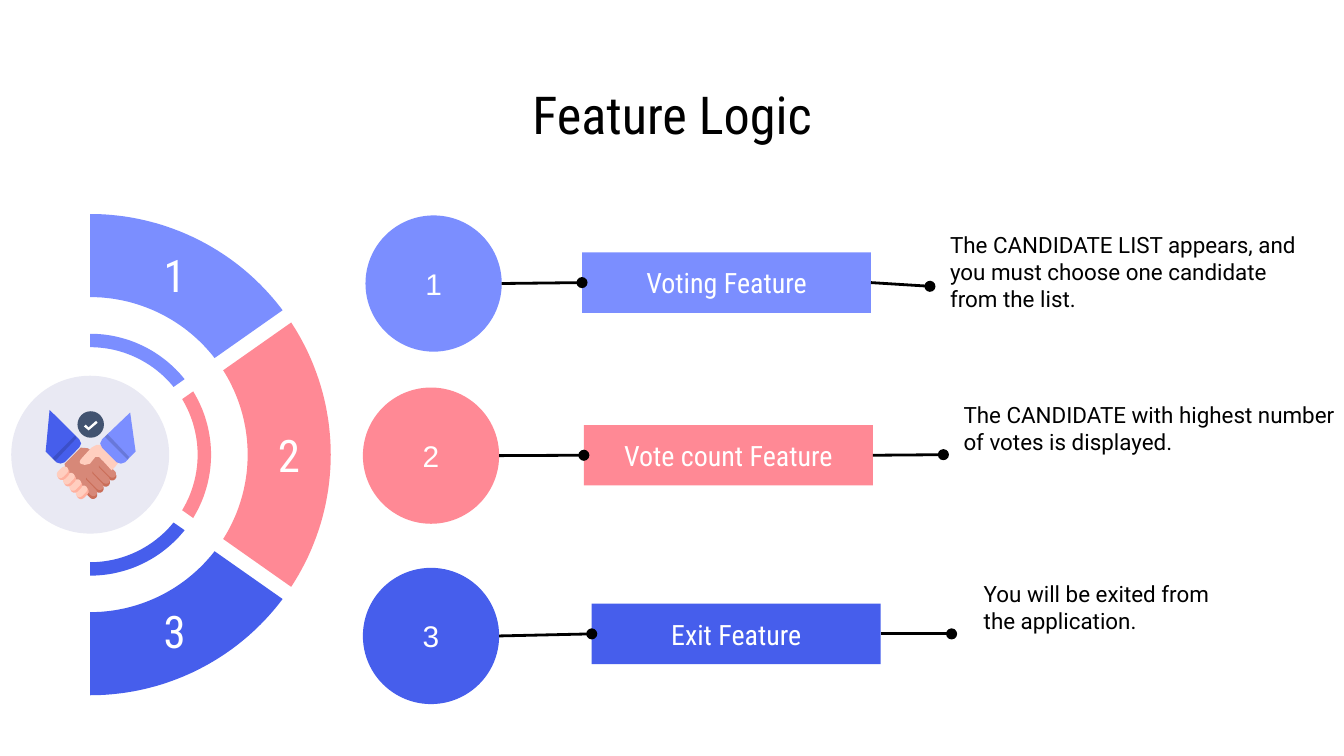
from math import asin, cos, pi, radians, sin

from lxml.etree import SubElement
from pptx import Presentation
from pptx.dml.color import RGBColor
from pptx.enum.shapes import MSO_CONNECTOR, MSO_SHAPE as SHAPE
from pptx.enum.text import MSO_ANCHOR as ANCHOR, PP_ALIGN as ALIGN
from pptx.oxml.ns import qn
from pptx.util import Pt

BLACK = RGBColor(0x00, 0x00, 0x00)
WHITE = RGBColor(0xFF, 0xFF, 0xFF)
PERIWINKLE = RGBColor(0x7B, 0x8E, 0xFF)
CORAL = RGBColor(0xFF, 0x89, 0x95)
BLUE = RGBColor(0x46, 0x5E, 0xEC)
PALE = RGBColor(0xE9, 0xE9, 0xF3)
SLATE = RGBColor(0x42, 0x53, 0x70)
BROWN = RGBColor(0xD7, 0x88, 0x78)
BROWN_SHADE = RGBColor(0xCA, 0x6E, 0x59)
PEACH = RGBColor(0xFF, 0xCE, 0xBF)
PEACH_SHADE = RGBColor(0xFF, 0xB0, 0x9E)
CONDENSED = "Roboto Condensed"

prs = Presentation()
prs.slide_width, prs.slide_height = Pt(720), Pt(405)
s = prs.slides.add_slide(prs.slide_layouts[6])


def add_box(x, y, w, h, kind=None, fill=None, text="", size=12, font=CONDENSED,
            color=WHITE, align=ALIGN.CENTER, anchor=ANCHOR.TOP,
            insets=(7.2, 7.2, 7.2, 7.2)):
    """Add a filled preset shape, or a text box when no kind is given."""
    frame = Pt(x), Pt(y), Pt(w), Pt(h)
    if kind is None:
        sp = s.shapes.add_textbox(*frame)
    else:
        sp = s.shapes.add_shape(kind, *frame)
        sp.shadow.inherit = False
        sp.fill.solid()
        sp.fill.fore_color.rgb = fill
        sp.line.fill.background()
    if text:
        tf = sp.text_frame
        tf.word_wrap = True
        tf.vertical_anchor = anchor
        (tf.margin_left, tf.margin_top,
         tf.margin_right, tf.margin_bottom) = map(Pt, insets)
        p = tf.paragraphs[0]
        p.text, p.alignment = text, align
        p.font.size, p.font.name, p.font.color.rgb = Pt(size), font, color
    return sp


def add_outline(points, fill):
    """Add a closed polygon through points."""
    emu = [(Pt(x), Pt(y)) for x, y in points]
    fb = s.shapes.build_freeform(*emu[0], scale=1.0)
    fb.add_line_segments(emu[1:], close=True)
    sp = fb.convert_to_shape()
    sp.shadow.inherit = False
    sp.fill.solid()
    sp.fill.fore_color.rgb = fill
    sp.line.fill.background()
    return sp


# Half rings: three sectors each, parted by parallel gaps
CX, CY, HALF_GAP, STEPS = 48.3, 243.6, 4, 40
SPLIT = radians(35.1)
sectors = [(-pi / 2, -SPLIT, 0, -1, PERIWINKLE),
           (-SPLIT, SPLIT, 1, -1, CORAL),
           (SPLIT, pi / 2, 1, 0, BLUE)]
for inner, outer in [(57.6, 64.8), (84.4, 128.9)]:
    for start, end, start_gap, end_gap, color in sectors:
        points = []
        for radius, direction in [(outer, 1), (inner, -1)]:
            shift = asin(HALF_GAP / radius)
            a, b = start + start_gap * shift, end + end_gap * shift
            arc = [a + (b - a) * i / STEPS for i in range(STEPS + 1)]
            points += [(CX + radius * cos(t), CY + radius * sin(t))
                       for t in arc[::direction]]
        add_outline(points, color)
add_box(CX - 42.3, CY - 42.3, 84.6, 84.6, SHAPE.OVAL, PALE)

# Ring numbers
for number, x, y in [("1", 77.8, 125.3), ("2", 139, 221.8), ("3", 77.8, 316.1)]:
    add_box(x, y, 31.7, 43.9, text=number, size=24)

# Title
add_box(36, 41.8, 648, 38.2, text="Feature Logic", size=28, color=BLACK,
        anchor=ANCHOR.MIDDLE)

# Feature rows: circle, box, description, end dot
CIRCLE, BOX_W, BOX_H = 73, 154.8, 32.4
rows = [
    ("1", "Voting Feature", PERIWINKLE, (195.8, 115.4), (311.8, 135.2),
     (498.2, 122.4, 213), (498.2, 153.4),
     "The CANDIDATE LIST appears, and you must choose one candidate from the list."),
    ("2", "Vote count Feature", CORAL, (194.4, 207.6), (312.8, 227.7),
     (505.4, 213.8, 222), (505.4, 243.6),
     "The CANDIDATE with highest number of votes is displayed."),
    ("3", "Exit Feature", BLUE, (194.4, 304.2), (317, 323.4),
     (516.2, 309.6, 150.5), (509.8, 339.6),
     "You will be exited from the application."),
]
for number, name, color, circle, box, (tx, ty, tw), dot, description in rows:
    add_box(*circle, CIRCLE, CIRCLE, SHAPE.OVAL, color, number, 16, "Arial",
            anchor=ANCHOR.MIDDLE)
    add_box(*box, BOX_W, BOX_H, SHAPE.RECTANGLE, color, name, 15)
    add_box(tx, ty, tw, 59.8, text=description, font="Roboto", color=BLACK,
            align=ALIGN.LEFT, insets=(10.8, 1.4, 7.2, 7.2))
    box_mid = box[1] + BOX_H / 2
    for begin, end in [
        ((circle[0] + CIRCLE, circle[1] + CIRCLE / 2), (box[0], box_mid)),
        ((box[0] + BOX_W, box_mid), dot),
    ]:
        line = s.shapes.add_connector(MSO_CONNECTOR.STRAIGHT,
                                      *map(Pt, begin + end))
        line.line.color.rgb = BLACK
        line.line.width = Pt(1.5)
        SubElement(line.line._get_or_add_ln(), qn("a:tailEnd"), type="oval")
        SubElement(line._element.spPr, qn("a:effectLst"))

# Handshake icon: back hand and left sleeve
add_outline([(43.2, 239.8), (34.6, 248.4), (35, 252), (36.7, 255.6), (45.4, 264.2),
             (59.8, 252), (50.4, 241.9), (46.8, 240.1)], BROWN)
add_outline([(26.6, 219.6), (24.5, 241.9), (30.2, 247.7), (32.4, 248.4),
             (34.6, 247.7), (42.5, 239.8), (43.5, 237.6), (42.5, 235.4)], BLUE)

# Fingers: a shaded capsule under a lighter, shifted one
hands = [(57.6, 252.7, -3.4, 3.3, 11.5, 45, BROWN_SHADE, BROWN, 0, -1.4),
         (44.3, 264.2, -3.4, -3.4, 7.2, -45, PEACH_SHADE, PEACH, -0.6, -1)]
for x, y, dx, dy, length, angle, shade, light, shift_x, shift_y in hands:
    for i in range(4):
        for color, ox, oy, width in [(shade, 0, 0, 4.6),
                                     (light, shift_x, shift_y, 4)]:
            finger = add_box(x + dx * i + ox - length / 2, y + dy * i + oy - width / 2,
                             length, width, SHAPE.ROUNDED_RECTANGLE, color)
            finger.adjustments[0] = 0.5
            finger.rotation = angle

# Front hand and right sleeve
add_outline([(51.8, 238.3), (49, 239.8), (43.2, 246.2), (42.7, 247.5), (43.2, 248.4),
             (45.4, 249.1), (48.2, 248.4), (51.1, 244.8), (53.3, 244.8), (59.8, 252),
             (61.9, 249.8), (64.1, 247), (54, 238.3)], PEACH)
add_outline([(69.8, 221), (54.7, 235.4), (53.7, 237.6), (54.7, 239.8), (62.6, 247.7),
             (64.8, 248.4), (67, 247.7), (72.7, 241.9)], PERIWINKLE)

# Translucent cuffs
for points in [[(57.6, 232.6), (56.2, 234), (68.4, 246.2), (69.1, 244.8)],
               [(40.3, 233.3), (28.1, 245.5), (29.5, 247), (41, 234.7)]]:
    cuff = add_outline(points, BLACK)
    rgb = cuff._element.spPr.find(qn("a:solidFill")).find(qn("a:srgbClr"))
    SubElement(rgb, qn("a:alpha"), val="15000")

# Check badge
add_box(41.5, 220.3, 14.2, 14.2, SHAPE.OVAL, SLATE)
add_outline([(51.5, 225.4), (47.5, 229), (46, 227.5), (45, 228.5), (47.5, 230.6),
             (52.3, 226.5)], WHITE)

prs.save("out.pptx")
